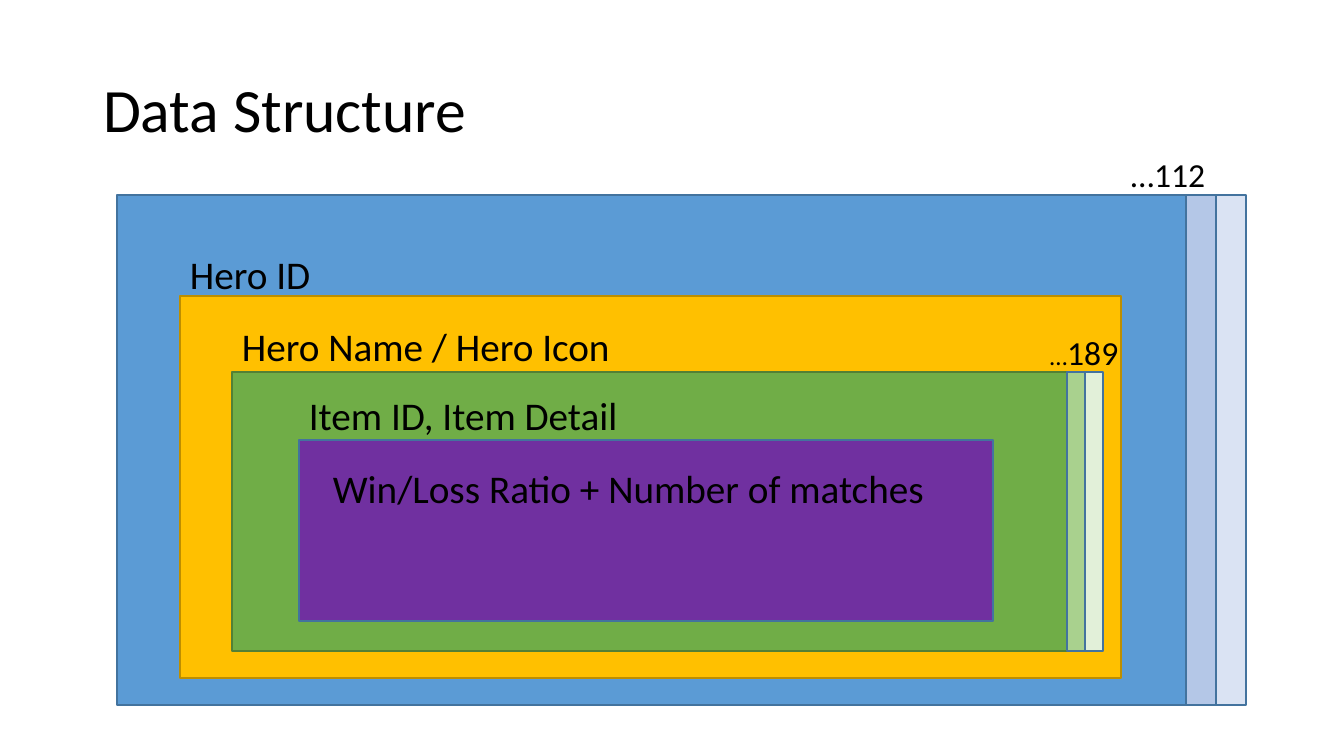
"""Build the Data Structure slide: nested record levels with stacked repeats."""
import pptx
import pptx.util
import pptx.dml.color
import pptx.enum.shapes
import pptx.enum.text

RGBColor = pptx.dml.color.RGBColor
BLACK = RGBColor(0x00, 0x00, 0x00)
BLUE = RGBColor(0x5B, 0x9B, 0xD5)
BLUE_EDGE = RGBColor(0x43, 0x73, 0x9E)
BLUE_MID = RGBColor(0xB4, 0xC7, 0xE7)
BLUE_PALE = RGBColor(0xDA, 0xE3, 0xF3)
GOLD = RGBColor(0xFF, 0xC0, 0x00)
GOLD_EDGE = RGBColor(0xBD, 0x8E, 0x00)
GREEN = RGBColor(0x70, 0xAD, 0x47)
GREEN_EDGE = RGBColor(0x53, 0x80, 0x35)
GREEN_MID = RGBColor(0xA9, 0xD1, 0x8E)
GREEN_PALE = RGBColor(0xE2, 0xF0, 0xD9)
PURPLE = RGBColor(0x70, 0x30, 0xA0)

PAGE_WIDTH, PAGE_HEIGHT = 1344, 756
SCALE = 12192000 / PAGE_WIDTH
FONT = "Calibri"

TITLE = ("Data Structure", (93, 40, 1159, 146))
LEVELS = [
    {"area": (117, 195, 1069, 510), "fill": BLUE, "edge": BLUE_EDGE,
     "repeats": (BLUE_MID, BLUE_PALE), "repeat_width": 30},
    {"area": (180, 296, 941, 382), "fill": GOLD, "edge": GOLD_EDGE},
    {"area": (232, 372, 835, 279), "fill": GREEN, "edge": GREEN_EDGE,
     "repeats": (GREEN_MID, GREEN_PALE), "repeat_width": 18},
    {"area": (299, 440, 694, 181), "fill": PURPLE, "edge": BLUE_EDGE},
]
LABELS = [
    ([("Hero ID", 28)], (180, 245, 142, 57)),
    ([("Hero Name / Hero Icon", 28)], (232, 317, 392, 57)),
    ([("Item ID, Item Detail", 28)], (299, 386, 332, 57)),
    ([("Win/Loss Ratio + Number of matches", 28)], (323, 459, 618, 57)),
    ([("…112", 24)], (1121, 149, 96, 50)),
    ([("…", 18), ("189", 24)], (1040, 327, 90, 50)),
]


def emu(*lengths):
    return [pptx.util.Emu(round(length * SCALE)) for length in lengths]


def add_text(para, text, size=28, color=BLACK):
    span = para.add_run()
    span.text = text
    span.font.name = FONT
    span.font.size = pptx.util.Pt(size)
    span.font.color.rgb = color


def add_box(page, area, fill, edge):
    box = page.shapes.add_shape(
        pptx.enum.shapes.MSO_SHAPE.RECTANGLE, *emu(*area))
    box.shadow.inherit = False
    box.fill.solid()
    box.fill.fore_color.rgb = fill
    box.line.color.rgb = edge
    box.line.width = pptx.util.Pt(1)


def add_title(page, text, area):
    title = page.shapes.title
    title.left, title.top, title.width, title.height = emu(*area)
    title.text_frame.vertical_anchor = pptx.enum.text.MSO_ANCHOR.MIDDLE
    para = title.text_frame.paragraphs[0]
    para.alignment = pptx.enum.text.PP_ALIGN.LEFT
    para.line_spacing = 0.9
    add_text(para, text, size=44)


def add_label(page, parts, area):
    frame = page.shapes.add_textbox(*emu(*area)).text_frame
    frame.word_wrap = False
    frame.auto_size = pptx.enum.text.MSO_AUTO_SIZE.SHAPE_TO_FIT_TEXT
    for text, size in parts:
        add_text(frame.paragraphs[0], text, size=size)


def main():
    deck = pptx.Presentation()
    deck.slide_width, deck.slide_height = emu(PAGE_WIDTH, PAGE_HEIGHT)
    page = deck.slides.add_slide(deck.slide_layouts[5])
    add_title(page, *TITLE)
    for level in LEVELS:
        left, top, width, height = level["area"]
        add_box(page, level["area"], level["fill"], level["edge"])
        for index, fill in enumerate(level.get("repeats", ())):
            strip = level["repeat_width"]
            area = (left + width + index * strip, top, strip, height)
            add_box(page, area, fill, BLUE_EDGE)
    for parts, area in LABELS:
        add_label(page, parts, area)
    deck.save("out.pptx")


if __name__ == "__main__":
    main()
